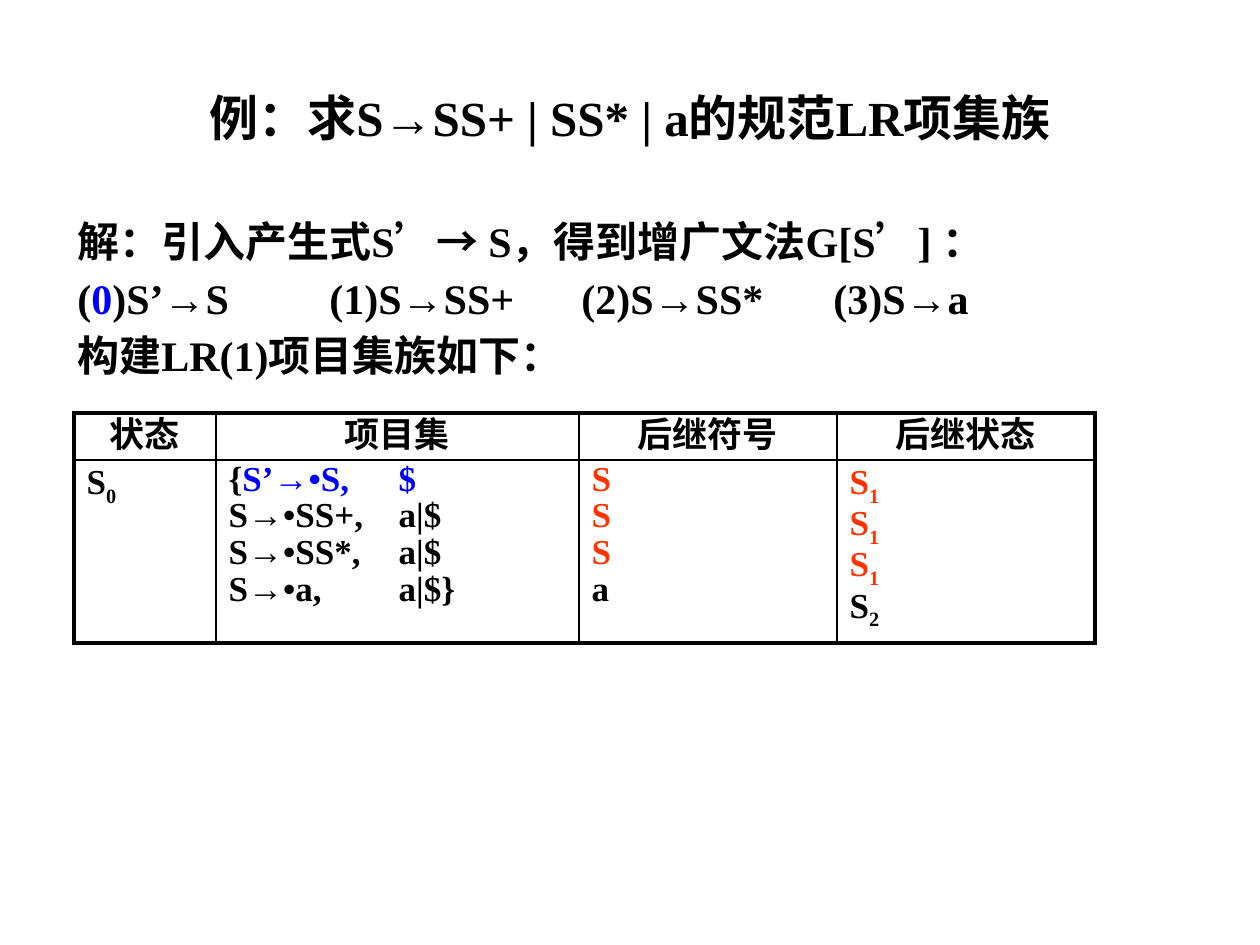
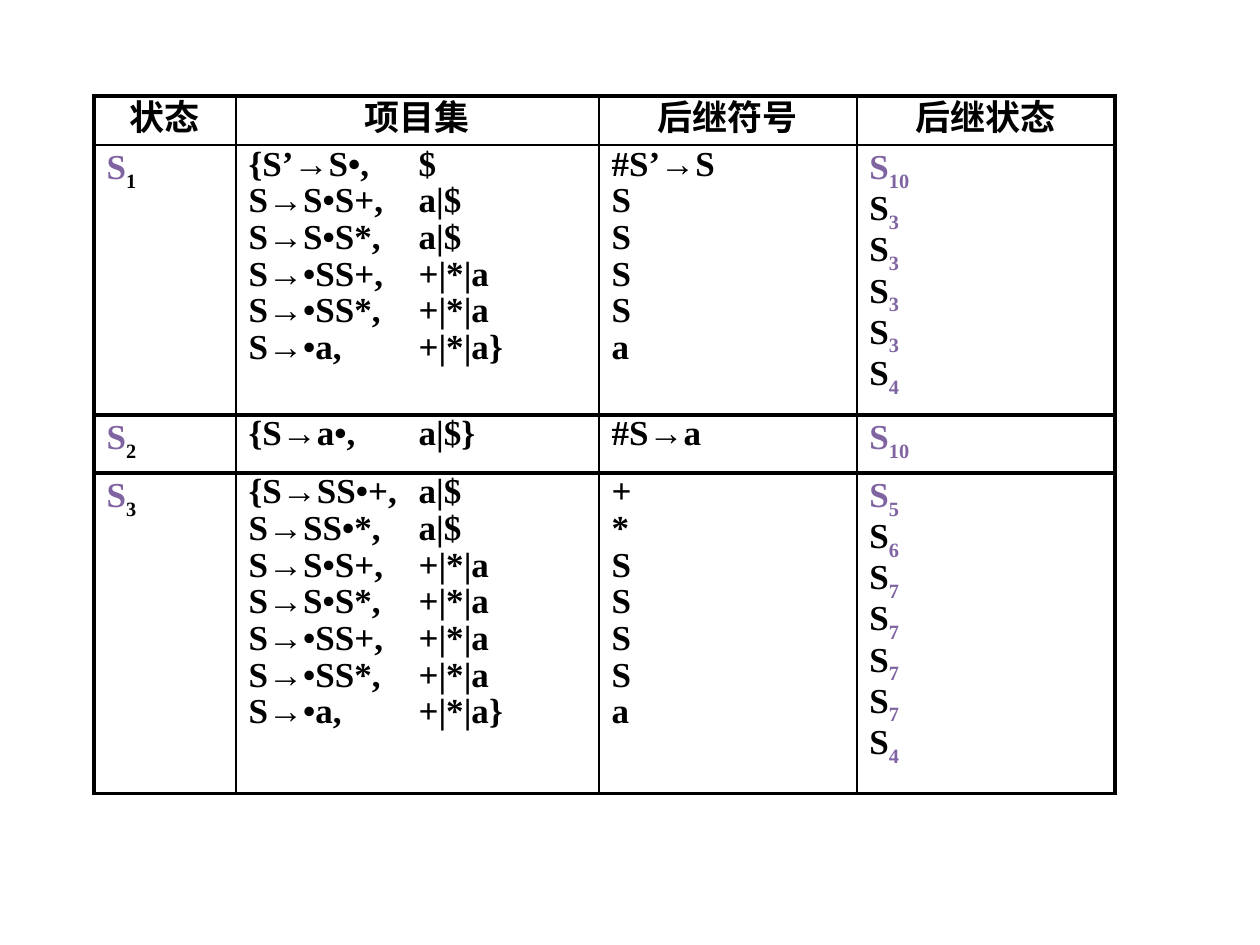
from lxml.etree import SubElement
from pptx import Presentation
from pptx.dml.color import RGBColor
from pptx.enum.text import MSO_ANCHOR, PP_ALIGN
from pptx.oxml import parse_xml
from pptx.oxml.ns import nsdecls, qn
from pptx.util import Emu, Pt

BLACK = RGBColor(0, 0, 0)
BLUE = RGBColor(0, 0, 255)
ORANGE = RGBColor(255, 51, 0)
PURPLE = RGBColor(128, 100, 162)
FONT = "Times New Roman"
TITLE_SIZE, BODY_SIZE, TABLE_SIZE = 28, 24, 20
THIN, THICK = 1, 2.25
BEFORE = 0.16


def state(number, letter=BLACK, digit=BLACK):
    return [("S", letter), (number, digit, True)]


def goto(first, *rest):
    return [state(first, PURPLE, PURPLE)] + [state(n, BLACK, PURPLE) for n in rest]


TITLE = "例：求S→SS+ | SS* | a的规范LR项集族"
BODY = [
    "解：引入产生式S’→ S，得到增广文法G[S’] ：",
    [("(", BLACK), ("0", BLUE), (")S’→S\t(1)S→SS+\t(2)S→SS*\t(3)S→a", BLACK)],
    "构建LR(1)项目集族如下：",
]
HEADER = ["状态", "项目集", "后继符号", "后继状态"]
START_ROWS = [
    (
        [state("0")],
        [[("{", BLACK), ("S’→•S,\t$", BLUE)],
         "S→•SS+,\ta|$", "S→•SS*,\ta|$", "S→•a,\ta|$}"],
        [[("S", ORANGE)]] * 3 + ["a"],
        [state("1", ORANGE, ORANGE)] * 3 + [state("2")],
    ),
]
CLOSURE = ["S→•SS+,\t+|*|a", "S→•SS*,\t+|*|a", "S→•a,\t+|*|a}"]
NEXT_ROWS = [
    (
        [state("1", PURPLE)],
        ["{S’→S•,\t$", "S→S•S+,\ta|$", "S→S•S*,\ta|$"] + CLOSURE,
        ["#S’→S", "S", "S", "S", "S", "a"],
        goto("10", "3", "3", "3", "3", "4"),
    ),
    ([state("2", PURPLE)], ["{S→a•,\ta|$}"], ["#S→a"], goto("10")),
    (
        [state("3", PURPLE)],
        ["{S→SS•+,\ta|$", "S→SS•*,\ta|$",
         "S→S•S+,\t+|*|a", "S→S•S*,\t+|*|a"] + CLOSURE,
        ["+", "*", "S", "S", "S", "S", "a"],
        goto("5", "6", "7", "7", "7", "7", "4"),
    ),
]

COLS = [142, 363, 258, 258]
BODY_TABS = [252, 504, 756]
ITEM_TABS = [170]


def px(n):
    return Emu(round(n * 914400 / 126))


def assign(obj, **values):
    for name, value in values.items():
        setattr(obj, name, value)


def add_tabs(p, stops):
    tabs = SubElement(p._p.get_or_add_pPr(), qn("a:tabLst"))
    for stop in stops:
        SubElement(tabs, qn("a:tab"), pos=str(px(stop)), algn="l")


def write(tf, lines, size, tabs=(), **para):
    for i, line in enumerate(lines):
        p = tf.paragraphs[0] if i == 0 else tf.add_paragraph()
        assign(p, space_before=Pt(round(size * BEFORE, 1)), **para)
        runs = [(line, BLACK)] if isinstance(line, str) else line
        if any("\t" in run[0] for run in runs):
            add_tabs(p, tabs)
        for text, color, *lowered in runs:
            r = p.add_run()
            r.text = text
            assign(r.font, name=FONT, size=Pt(size), bold=True)
            r.font.color.rgb = color
            if lowered:
                r._r.get_or_add_rPr().set("baseline", "-25000")


def add_text(s, box, lines, size, anchor, **para):
    tf = s.shapes.add_textbox(*map(px, box)).text_frame
    assign(tf, word_wrap=True, vertical_anchor=anchor)
    write(tf, lines, size, **para)
    return tf


def add_borders(cell, **widths):
    tcPr = cell._tc.get_or_add_tcPr()
    for i, (side, width) in enumerate(widths.items()):
        tcPr.insert(i, parse_xml(
            f'<a:ln{side} {nsdecls("a")} w="{Pt(width)}"><a:solidFill>'
            f'<a:srgbClr val="{BLACK}"/></a:solidFill></a:ln{side}>'))


def add_states(s, left, top, rows, heights):
    grid = [[[name] for name in HEADER]] + rows
    table = s.shapes.add_table(len(grid), len(COLS), px(left), px(top),
                               px(sum(COLS)), px(sum(heights))).table
    assign(table, first_row=False, horz_banding=False)
    for col, width in zip(table.columns, COLS):
        col.width = px(width)
    for row, height in zip(table.rows, heights):
        row.height = px(height)
    for y, row in enumerate(grid):
        para = {"line_spacing": 0.8} if y else {"line_spacing": 0.7, "alignment": PP_ALIGN.CENTER}
        for x, lines in enumerate(row):
            cell = table.cell(y, x)
            write(cell.text_frame, lines, TABLE_SIZE, ITEM_TABS, **para)
            cell.fill.background()
            add_borders(cell,
                        L=THICK if x == 0 else THIN,
                        R=THICK if x == len(COLS) - 1 else THIN,
                        T=THIN if y == 1 else THICK,
                        B=THICK if y else THIN)


def main():
    prs = Presentation()
    assign(prs, slide_width=px(1260), slide_height=px(945))
    blank = prs.slide_layouts[6]

    s = prs.slides.add_slide(blank)
    add_text(s, (63, 38, 1134, 157), [TITLE], TITLE_SIZE, MSO_ANCHOR.MIDDLE,
             alignment=PP_ALIGN.CENTER)
    tf = add_text(s, (65, 204, 1163, 208), BODY, BODY_SIZE, MSO_ANCHOR.TOP, tabs=BODY_TABS)
    tf.paragraphs[0].line_spacing = 1.1
    add_states(s, 74, 413, START_ROWS, [47, 183])

    s = prs.slides.add_slide(blank)
    add_states(s, 94, 96, NEXT_ROWS, [49, 268, 58, 321])

    prs.save("out.pptx")


if __name__ == "__main__":
    main()
